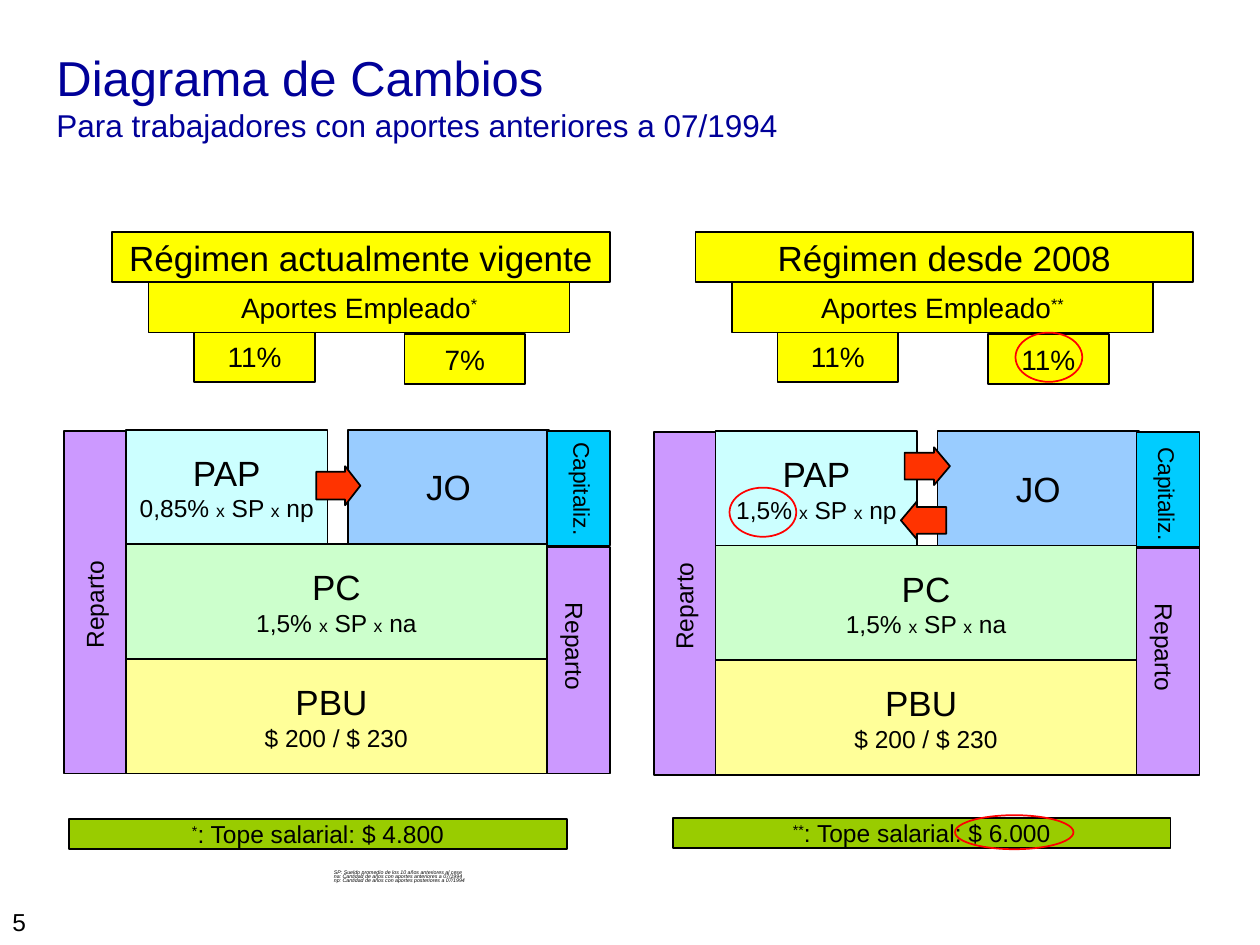
"""Build the slide comparing both pension regimes, block by block."""
from dataclasses import dataclass

from pptx import Presentation
from pptx.dml.color import RGBColor
from pptx.enum.shapes import MSO_SHAPE
from pptx.enum.text import MSO_ANCHOR, PP_ALIGN
from pptx.util import Inches, Pt


@dataclass(frozen=True)
class Theme:
    font: str = "Arial"
    ink: str = "000000"
    title: str = "000099"
    contribution: str = "FFFF00"
    pay_as_you_go: str = "CC99FF"
    funded: str = "00CCFF"
    pap: str = "CCFFFF"
    jo: str = "99CCFF"
    pc: str = "CCFFCC"
    pbu: str = "FFFF99"
    ceiling: str = "99CC00"
    arrow: str = "FF3300"
    highlight: str = "FF0000"
    title_size: int = 28
    subtitle_size: int = 18
    heading: int = 20
    label: int = 16
    body: int = 14
    funded_size: int = 13
    times: int = 10
    note: int = 3


THEME = Theme()
SUPERSCRIPT = "30000"

TITLE = "Diagrama de Cambios"
SUBTITLE = "Para trabajadores con aportes anteriores a 07/1994"
NOTES = [
    "SP: Sueldo promedio de los 10 años anteriores al cese",
    "na: Cantidad de años con aportes anteriores a 07/1994",
    "np: Cantidad de años con aportes posteriores a 07/1994",
]
PAGE = "5"
REGIMES = [
    {"name": "Régimen actualmente vigente", "mark": "*", "rates": ("11%", "7%"),
     "pap_rate": "0,85%", "ceiling": "$ 4.800",
     "header_left": 0.89, "stack": (1.0, 3.41), "ceiling_at": (0.55, 6.5),
     "funded_label": (4.61, 3.88),
     "arrows": [(1.51, 0.29, 0.35, 0.31, 0.39, 0)], "highlights": []},
    {"name": "Régimen desde 2008", "mark": "**", "rates": ("11%", "11%"),
     "pap_rate": "1,5%", "ceiling": "$ 6.000",
     "header_left": 5.52, "stack": (5.68, 3.42), "ceiling_at": (5.34, 6.49),
     "funded_label": (9.25, 3.92),
     "arrows": [(1.47, 0.56, 0.36, 0.3, 0.42, 180), (1.5, 0.13, 0.36, 0.3, 0.42, 0)],
     "highlights": [(5.79, 3.87, 0.53, 0.39), (8.06, 2.64, 0.53, 0.39),
                    (7.58, 6.47, 0.94, 0.27)]},
]

HEADER_TOP, HEADER_ROW, HEADER_INSET = 1.84, 0.4, 0.29
HEADER_WIDTH, CORE_WIDTH, RATE_WIDTH, UPPER_WIDTH = 3.95, 3.34, 0.96, 1.6
RATE_OFFSETS = ((0.65, 2.63), (2.32, 2.65))
ROW, SIDE = 0.91, 0.5

deck = Presentation()
deck.slide_width, deck.slide_height = Inches(10), Inches(7.5)
slide = deck.slides.add_slide(deck.slide_layouts[6])


def color(code):
    return RGBColor.from_string(code)


def write(holder, paragraphs, ink=THEME.ink, align=PP_ALIGN.LEFT, anchor=MSO_ANCHOR.TOP,
          wrap=False, margins=(0.1, 0.05), italic=False, spacing=None):
    frame = holder.text_frame
    frame.word_wrap, frame.vertical_anchor = wrap, anchor
    frame.margin_left = frame.margin_right = Inches(margins[0])
    frame.margin_top = frame.margin_bottom = Inches(margins[1])
    for index, pieces in enumerate(paragraphs):
        line = frame.add_paragraph() if index else frame.paragraphs[0]
        line.alignment = align
        if spacing:
            line.line_spacing = spacing
        for words, size, *baseline in pieces:
            run = line.add_run()
            run.text = words
            run.font.name, run.font.size = THEME.font, Pt(size)
            run.font.italic = italic
            run.font.color.rgb = color(ink)
            if baseline:
                run._r.get_or_add_rPr().set("baseline", baseline[0])


def block(left, top, width, height, fill=None, paragraphs=(), kind=MSO_SHAPE.RECTANGLE,
          line=THEME.ink):
    figure = slide.shapes.add_shape(kind, *map(Inches, (left, top, width, height)))
    figure.shadow.inherit = False
    if fill:
        figure.fill.solid()
        figure.fill.fore_color.rgb = color(fill)
    else:
        figure.fill.background()
    figure.line.color.rgb, figure.line.width = color(line), Pt(1)
    if paragraphs:
        write(figure, paragraphs, align=PP_ALIGN.CENTER, anchor=MSO_ANCHOR.MIDDLE)
    return figure


def text(left, top, width, height, paragraphs, rotation=0, **style):
    holder = slide.shapes.add_textbox(*map(Inches, (left, top, width, height)))
    holder.rotation = rotation
    write(holder, paragraphs, **style)


def turned(words, size, center, length, rotation):
    x, y = center
    text(x - length / 2, y - 0.17, length, 0.34, [[(words, size)]], rotation,
         align=PP_ALIGN.CENTER, wrap=True, margins=(0, 0.05))


def formula(rate, years):
    times = ("x", THEME.times)
    return [(rate + " ", THEME.body), times, (" SP ", THEME.body), times,
            (" " + years, THEME.body)]


def heading(words):
    return [(words, THEME.heading)]


def draw_header(regime):
    left = regime["header_left"]
    for (offset, top), rate in zip(RATE_OFFSETS, regime["rates"]):
        block(left + offset, top, RATE_WIDTH, HEADER_ROW, THEME.contribution,
              [[(rate, THEME.label)]])
    block(left + HEADER_INSET, HEADER_TOP + HEADER_ROW, CORE_WIDTH, HEADER_ROW,
          THEME.contribution,
          [[("Aportes Empleado", THEME.label), (regime["mark"], THEME.label, SUPERSCRIPT)]])
    block(left, HEADER_TOP, HEADER_WIDTH, HEADER_ROW, THEME.contribution,
          [heading(regime["name"])])


def draw_stack(regime):
    left, top = regime["stack"]
    right = left + CORE_WIDTH
    block(left - SIDE + 0.01, top + 0.01, SIDE, 3 * ROW - 0.01, THEME.pay_as_you_go)
    turned("Reparto", THEME.body, (left - SIDE / 2, top + 1.39), 0.89, 270)
    block(left, top + 2 * ROW, CORE_WIDTH, ROW, THEME.pbu,
          [heading("PBU "), [("$ 200 / $ 230", THEME.body)]])
    block(left, top + ROW, CORE_WIDTH, ROW, THEME.pc,
          [heading("PC"), formula("1,5%", "na")])
    block(left, top, UPPER_WIDTH, ROW, THEME.pap,
          [heading("PAP"), formula(regime["pap_rate"], "np")])
    block(right, top + ROW + 0.02, SIDE, 2 * ROW - 0.02, THEME.pay_as_you_go)
    turned("Reparto", THEME.body, (right + 0.22, top + 1.72), 0.89, 90)
    block(right + 0.02 - UPPER_WIDTH, top, UPPER_WIDTH, ROW, THEME.jo, [heading("JO")])
    block(right, top + 0.01, SIDE, ROW, THEME.funded)
    turned("Capitaliz.", THEME.funded_size, regime["funded_label"], 0.98, 90)
    for dx, dy, width, height, head, rotation in regime["arrows"]:
        arrow = block(left + dx, top + dy, width, height, THEME.arrow,
                      kind=MSO_SHAPE.RIGHT_ARROW)
        arrow.adjustments[0], arrow.adjustments[1] = 0.71, head
        arrow.rotation = rotation


text(0.35, 0.26, 9, 1,
     [[(TITLE, THEME.title_size)], [(SUBTITLE, THEME.subtitle_size)]],
     ink=THEME.title, wrap=True, anchor=MSO_ANCHOR.MIDDLE)
for regime in REGIMES:
    draw_header(regime)
    draw_stack(regime)
    block(*regime["ceiling_at"], HEADER_WIDTH, 0.24, THEME.ceiling,
          [[(regime["mark"], THEME.body, SUPERSCRIPT),
            (": Tope salarial: " + regime["ceiling"], THEME.body)]])
    for ring in regime["highlights"]:
        block(*ring, kind=MSO_SHAPE.OVAL, line=THEME.highlight)
text(2.65, 6.91, 7.01, 0.08, [[(note, THEME.note)] for note in NOTES],
     wrap=True, margins=(0, 0), italic=True, spacing=0.7)
text(0, 7.15, 0.67, 0.33, [[(PAGE, THEME.body)]], wrap=True)
deck.save("out.pptx")
